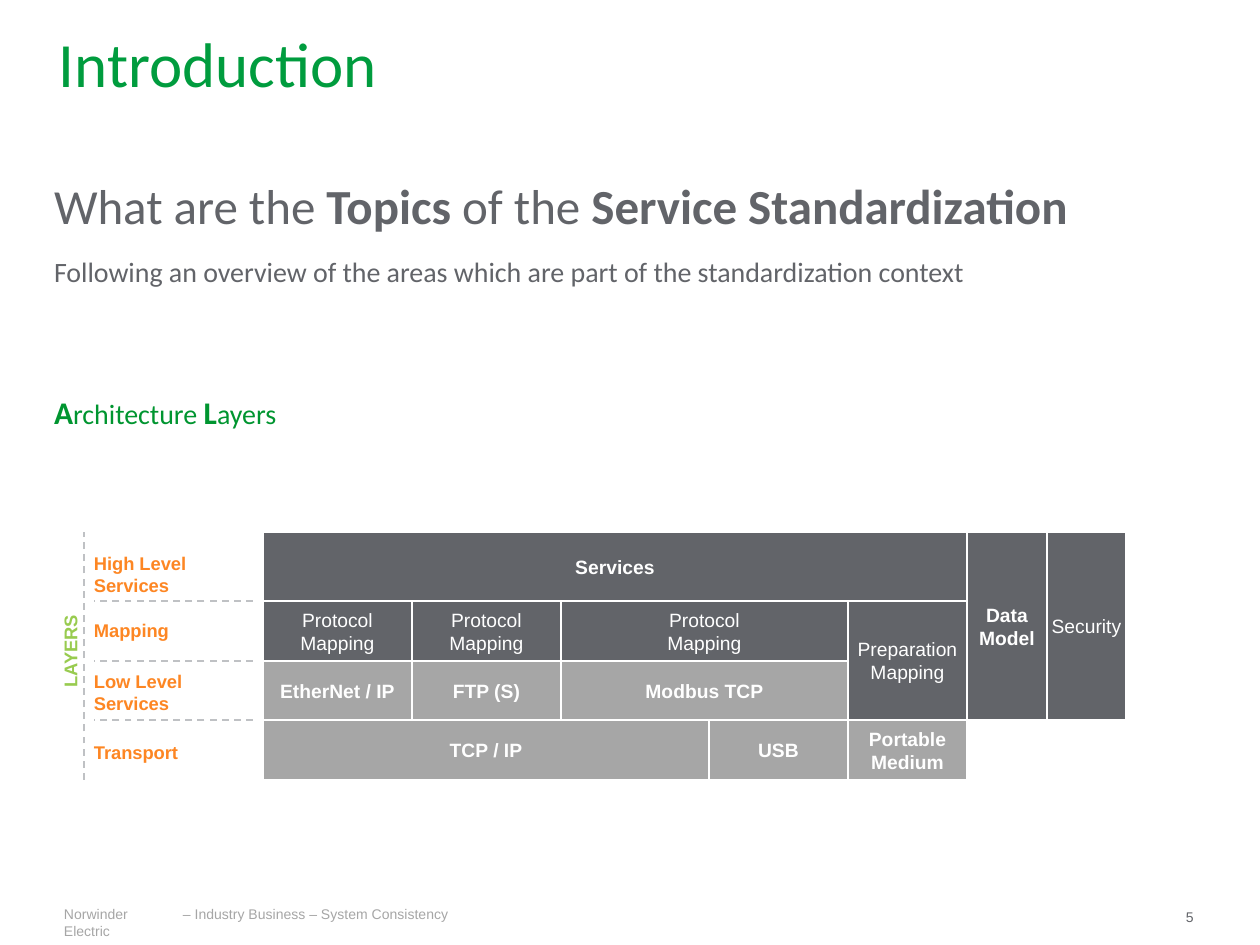
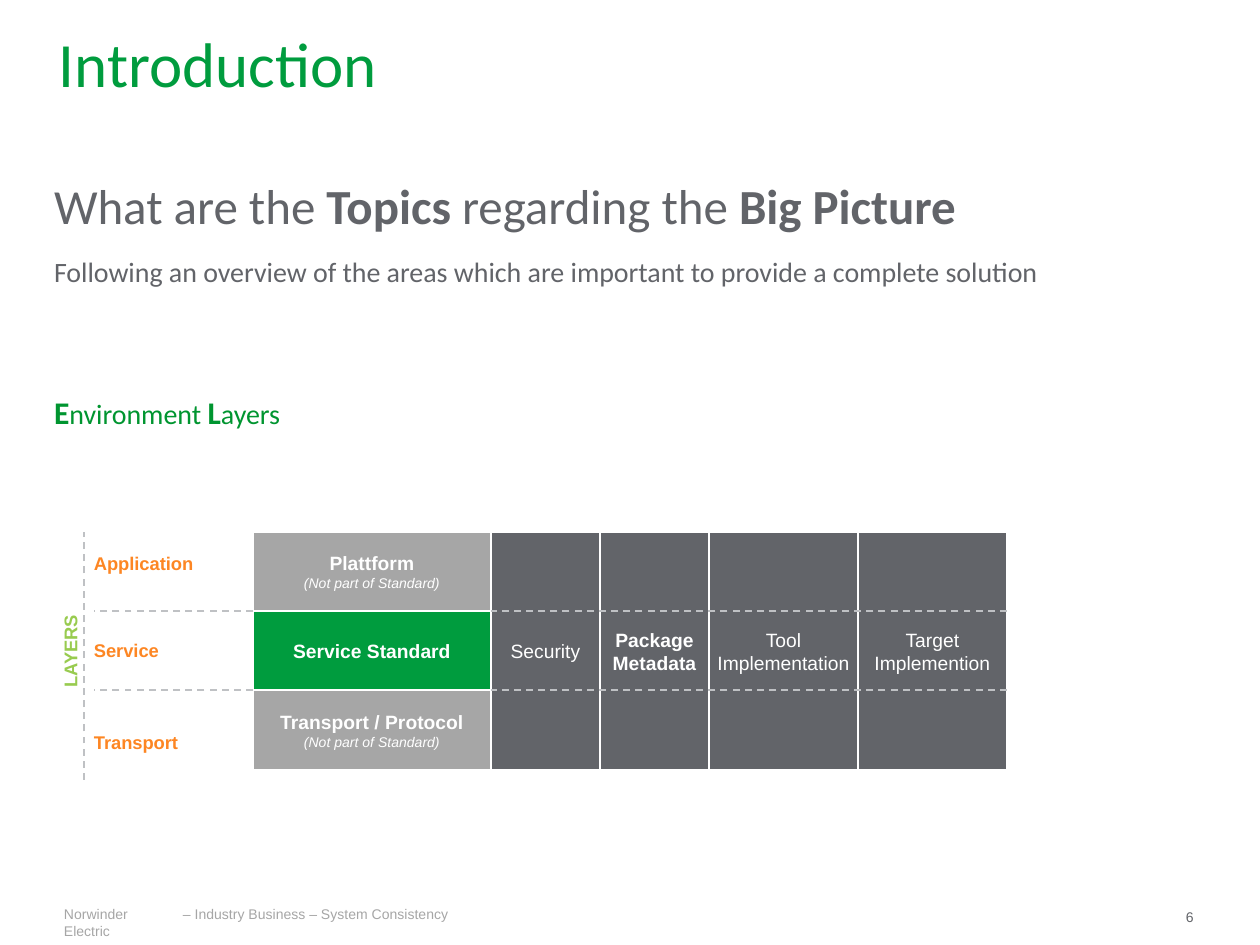
from dataclasses import dataclass
from typing import NamedTuple

from lxml.etree import SubElement
from pptx import Presentation
from pptx.dml.color import RGBColor
from pptx.enum.dml import MSO_LINE
from pptx.enum.shapes import MSO_CONNECTOR, MSO_SHAPE
from pptx.enum.text import MSO_ANCHOR, PP_ALIGN
from pptx.oxml.ns import qn
from pptx.util import Emu, Pt

PX = 914400 / 126  # EMU in one px


def px(n: int) -> Emu:
    return Emu(round(n * PX))


@dataclass(frozen=True)
class Theme:
    heading: str = "Calibri"
    body: str = "Arial"
    green: str = "009C3E"
    deep_green: str = "009530"
    lime: str = "98CB4F"
    orange: str = "FD8623"
    dark: str = "626469"
    gray: str = "A6A6A6"
    dash: str = "BFC1C4"
    white: str = "FFFFFF"
    title_pt: float = 36
    question_pt: float = 28
    initial_pt: float = 18
    lead_pt: float = 16
    block_pt: float = 11
    label_pt: float = 10.5
    small_pt: float = 8


T = Theme()


class Box(NamedTuple):
    x: int
    y: int
    w: int
    h: int


class Span(NamedTuple):
    text: str
    bold: bool = False
    size: float | None = None


class Para(NamedTuple):
    spans: list[Span]
    size: float
    color: str
    font: str = T.body
    bold: bool = False
    italic: bool = False
    before: float = 0


class Label(NamedTuple):
    text: str
    y: int
    h: int = 22


class Block(NamedTuple):
    """A filled block; cols and rows are (first, last) edges of the grid."""
    cols: tuple[int, int]
    rows: tuple[int, int]
    lines: list[str]
    fill: str = T.dark
    bold: bool = False
    note: str = ""


class Page(NamedTuple):
    number: int
    question: list[Span]
    lead: str
    layers: list[Span]
    xs: list[int]
    ys: list[int]
    blocks: list[Block]
    labels: list[Label]
    dashes_cross: bool = False


# Shared places
TITLE = Box(59, 40, 1142, 45)
QUESTION = Box(54, 175, 1142, 159)
LAYERS_HEAD = Box(54, 393, 1150, 89)
LAYERS_AXIS = Box(-49, 640, 238, 22)
COMPANY = Box(64, 906, 100, 34)
DEPARTMENT = Box(183, 906, 300, 17)
NUMBER = Box(1186, 909, 40, 17)
AXIS_X, AXIS_TOP, AXIS_END = 84, 532, 780
LABEL_X, LABEL_W, LABEL_END = 94, 139, 253

NOT_STANDARD = "(Not part of Standard)"
MAPPING = ["Protocol", "Mapping"]

PAGES = [
    Page(
        5,
        [Span("What are the "), Span("Topics ", True), Span("of the "),
         Span("Service Standardization", True)],
        "Following an overview of the areas which are part of the standardization context",
        [Span("A", True, T.initial_pt), Span("rchitecture "),
         Span("L", True, T.initial_pt), Span("ayers")],
        [263, 412, 561, 709, 848, 967, 1047, 1126],
        [532, 601, 661, 720, 780],
        [
            Block((0, 5), (0, 1), ["Services"], bold=True),
            Block((0, 1), (1, 2), MAPPING),
            Block((1, 2), (1, 2), MAPPING),
            Block((2, 4), (1, 2), MAPPING),
            Block((4, 5), (1, 3), ["Preparation", "Mapping"]),
            Block((5, 6), (0, 3), ["Data", "Model"], bold=True),
            Block((6, 7), (0, 3), ["Security"]),
            Block((0, 1), (2, 3), ["EtherNet / IP"], T.gray, True),
            Block((1, 2), (2, 3), ["FTP (S)"], T.gray, True),
            Block((2, 4), (2, 3), ["Modbus TCP"], T.gray, True),
            Block((0, 3), (3, 4), ["TCP / IP"], T.gray, True),
            Block((3, 4), (3, 4), ["USB"], T.gray, True),
            Block((4, 5), (3, 4), ["Portable", "Medium"], T.gray, True),
        ],
        [Label("High Level Services", 552, 44), Label("Mapping", 619),
         Label("Low Level Services", 670, 44), Label("Transport", 741)],
    ),
    Page(
        6,
        [Span("What are the "), Span("Topics ", True), Span("regarding the "),
         Span("Big Picture", True)],
        "Following an overview of the areas which are important to provide a complete solution",
        [Span("E", True, T.initial_pt), Span("nvironment "),
         Span("L", True, T.initial_pt), Span("ayers")],
        [253, 491, 600, 709, 858, 1007],
        [532, 611, 690, 770],
        [
            Block((0, 1), (0, 1), ["Plattform"], T.gray, True, NOT_STANDARD),
            Block((0, 1), (1, 2), ["Service Standard"], T.green, True),
            Block((0, 1), (2, 3), ["Transport / Protocol"], T.gray, True, NOT_STANDARD),
            Block((1, 2), (0, 3), ["Security"]),
            Block((2, 3), (0, 3), ["Package", "Metadata"], bold=True),
            Block((3, 4), (0, 3), ["Tool", "Implementation"]),
            Block((4, 5), (0, 3), ["Target", "Implemention"]),
        ],
        [Label("Application", 552), Label("Service", 639), Label("Transport", 731)],
        dashes_cross=True,
    ),
]


def fill_text(tf, paras: list[Para], align=PP_ALIGN.LEFT, anchor=MSO_ANCHOR.TOP) -> None:
    tf.word_wrap = True
    tf.vertical_anchor = anchor
    tf.margin_left = tf.margin_right = tf.margin_top = tf.margin_bottom = 0
    for i, para in enumerate(paras):
        p = tf.add_paragraph() if i else tf.paragraphs[0]
        p.alignment = align
        if para.before:
            p.space_before = Pt(para.before)
        f = p.font
        f.name, f.size = para.font, Pt(para.size)
        f.bold, f.italic = para.bold, para.italic
        f.color.rgb = RGBColor.from_string(para.color)
        for span in para.spans:
            r = p.add_run()
            r.text = span.text
            if span.bold:
                r.font.bold = True
            if span.size:
                r.font.size = Pt(span.size)


def add_text(s, box: Box, paras: list[Para], rotation: int = 0, **layout) -> None:
    sp = s.shapes.add_textbox(*map(px, box))
    sp.rotation = rotation
    fill_text(sp.text_frame, paras, **layout)


def add_dash(s, x1: int, y1: int, x2: int, y2: int) -> None:
    line = s.shapes.add_connector(MSO_CONNECTOR.STRAIGHT, px(x1), px(y1), px(x2), px(y2))
    line.line.color.rgb = RGBColor.from_string(T.dash)
    line.line.width = Pt(1)
    line.line.dash_style = MSO_LINE.DASH
    SubElement(line._element.spPr, qn("a:effectLst"))


def add_block(s, block: Block, xs: list[int], ys: list[int]) -> None:
    left, right = (xs[i] for i in block.cols)
    top, bottom = (ys[i] for i in block.rows)
    box = Box(left, top, right - left, bottom - top)
    sp = s.shapes.add_shape(MSO_SHAPE.RECTANGLE, *map(px, box))
    sp.shadow.inherit = False
    sp.fill.solid()
    sp.fill.fore_color.rgb = RGBColor.from_string(block.fill)
    sp.line.color.rgb = RGBColor.from_string(T.white)
    sp.line.width = Pt(1.5)
    paras = [Para([Span(t)], T.block_pt, T.white, bold=block.bold) for t in block.lines]
    if block.note:
        paras.append(Para([Span(block.note)], T.small_pt, T.white, italic=True))
    fill_text(sp.text_frame, paras, PP_ALIGN.CENTER, MSO_ANCHOR.MIDDLE)


def add_frame(s, page: Page) -> None:
    # Footer
    for box, text, color in (
        (COMPANY, "Norwinder Electric", T.gray),
        (DEPARTMENT, "– Industry Business – System Consistency", T.gray),
        (NUMBER, str(page.number), T.dark),
    ):
        add_text(s, box, [Para([Span(text)], T.small_pt, color)])

    # Headings
    add_text(s, TITLE, [Para([Span("Introduction")], T.title_pt, T.green, T.heading)],
             anchor=MSO_ANCHOR.MIDDLE)
    add_text(s, QUESTION, [
        Para(page.question, T.question_pt, T.dark, T.heading),
        Para([Span(page.lead)], T.lead_pt, T.dark, T.heading, before=12),
    ])
    add_text(s, LAYERS_HEAD, [Para(page.layers, T.lead_pt, T.deep_green, T.heading)])


def add_layers(s, page: Page) -> None:
    for block in page.blocks:
        add_block(s, block, page.xs, page.ys)

    # Lines between the layers
    for y in page.ys[1:-1]:
        add_dash(s, LABEL_END, y, LABEL_X, y)
        if page.dashes_cross:
            add_dash(s, page.xs[-1], y, page.xs[1], y)

    # Axis and layer names
    add_dash(s, AXIS_X, AXIS_END, AXIS_X, AXIS_TOP)
    add_text(s, LAYERS_AXIS, [Para([Span("LAYERS")], T.label_pt, T.lime, bold=True)],
             rotation=270, align=PP_ALIGN.CENTER)
    for label in page.labels:
        add_text(s, Box(LABEL_X, label.y, LABEL_W, label.h),
                 [Para([Span(label.text)], T.label_pt, T.orange, bold=True)])


def main() -> None:
    prs = Presentation()
    prs.slide_width, prs.slide_height = px(1260), px(945)
    for page in PAGES:
        s = prs.slides.add_slide(prs.slide_layouts[6])
        add_frame(s, page)
        add_layers(s, page)
    prs.save("out.pptx")


if __name__ == "__main__":
    main()
